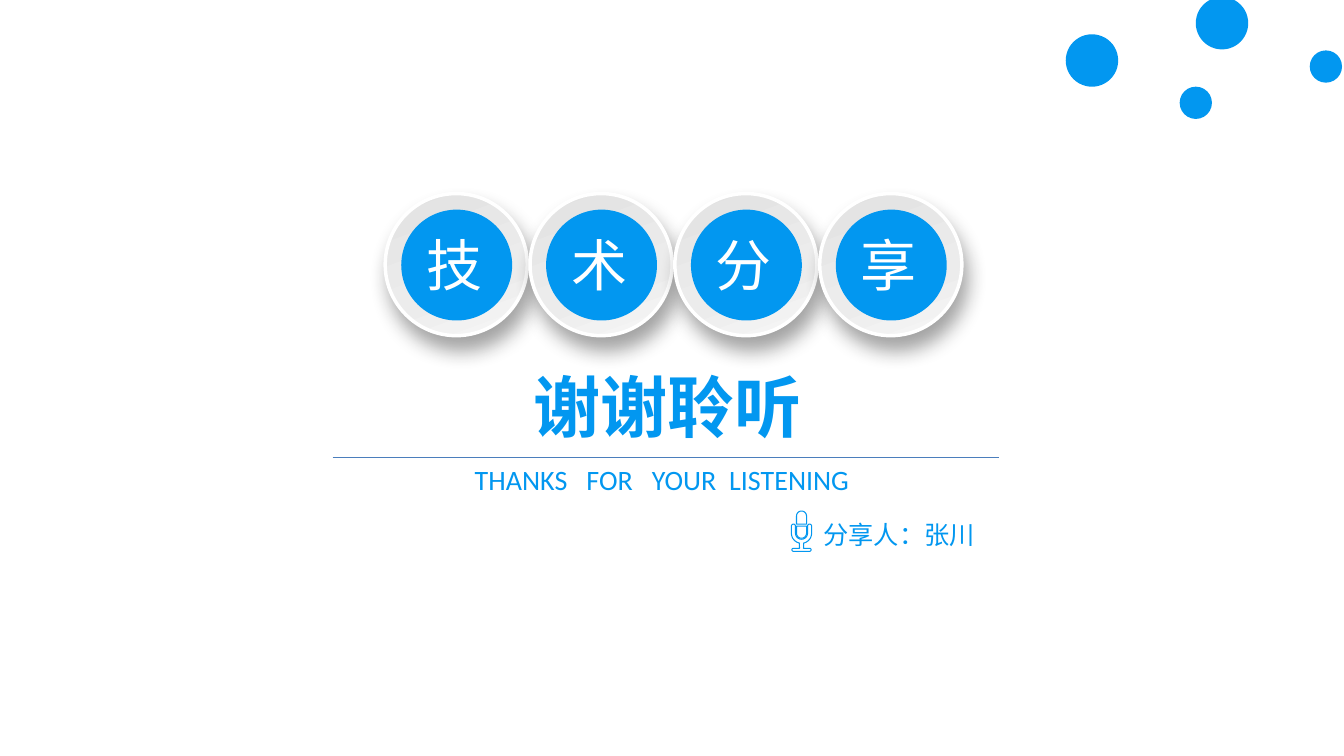
from dataclasses import dataclass
from math import cos, radians, sin

from lxml.etree import SubElement
from pptx import Presentation
from pptx.dml.color import RGBColor
from pptx.enum.shapes import MSO_CONNECTOR, MSO_SHAPE
from pptx.enum.text import MSO_AUTO_SIZE
from pptx.oxml import parse_xml
from pptx.oxml.ns import nsdecls, qn
from pptx.util import Inches, Pt


@dataclass(frozen=True)
class Theme:
    blue: str = "0297F0"
    white: str = "FFFFFF"
    rule: str = "4B7EBC"
    shadow: str = "1A1A1A"
    ring_stops: tuple = ((0, "E2E2E2"), (63, "ECECEC"), (100, "F7F7F7"))
    chinese: str = "Noto Sans CJK SC"
    english: str = "Calibri"
    title_size: int = 48
    badge_size: int = 40
    subtitle_size: int = 20
    speaker_size: int = 18
    thin: float = 0.75
    ring_line: float = 2.5


THEME = Theme()

BADGE_TEXT = "技术分享"
BADGE_LEFT, BADGE_TOP, BADGE_STEP = 3.82, 1.92, 4.31 / 3

# Subtitle words, each with the extra points of space after it
SUBTITLE = (("THANKS", 9), ("FOR", 9), ("YOUR", 4.5), ("LISTENING", 0))

# Corner dots: left, top, diameter
DOTS = (
    (10.57, 0.34, 0.52),
    (11.7, 0.86, 0.32),
    (11.86, -0.03, 0.52),
    (12.99, 0.5, 0.32),
)


def rgb(color):
    return RGBColor.from_string(color)


def add_solid(shapes, kind, left, top, size, color):
    shape = shapes.add_shape(
        kind, Inches(left), Inches(top), Inches(size), Inches(size)
    )
    shape.shadow.inherit = False
    shape.fill.solid()
    shape.fill.fore_color.rgb = rgb(color)
    shape.line.fill.background()
    return shape


def add_text_box(shapes, left, top, width, height):
    box = shapes.add_textbox(
        Inches(left), Inches(top), Inches(width), Inches(height)
    )
    box.text_frame.word_wrap = True
    box.text_frame.auto_size = MSO_AUTO_SIZE.SHAPE_TO_FIT_TEXT
    return box.text_frame.paragraphs[0]


def add_run(paragraph, text, size, color, font, bold=False, spacing=0):
    run = paragraph.add_run()
    run.text = text
    run.font.size = Pt(size)
    run.font.bold = bold
    run.font.color.rgb = rgb(color)
    run.font.name = font
    properties = run._r.get_or_add_rPr()
    SubElement(properties, qn("a:ea")).set("typeface", font)
    if spacing:
        properties.set("spc", str(int(spacing * 100)))


def style_ring(ring):
    """Give a ring its white edge, grey gradient and soft shadow."""
    ring.line.color.rgb = rgb(THEME.white)
    ring.line.width = Pt(THEME.ring_line)
    stops = "".join(
        f'<a:gs pos="{position * 1000}"><a:srgbClr val="{color}"/></a:gs>'
        for position, color in THEME.ring_stops
    )
    properties = ring._element.spPr
    gradient = parse_xml(
        f'<a:gradFill {nsdecls("a")} rotWithShape="1"><a:gsLst>{stops}</a:gsLst>'
        f'<a:lin ang="{70 * 60000}" scaled="0"/></a:gradFill>'
    )
    properties.replace(properties.find(qn("a:solidFill")), gradient)
    shadow = parse_xml(
        f'<a:outerShdw {nsdecls("a")} blurRad="{Pt(14)}" dist="{Pt(10)}" '
        f'dir="{70 * 60000}" algn="ctr" rotWithShape="0">'
        f'<a:srgbClr val="{THEME.shadow}"><a:alpha val="40000"/></a:srgbClr>'
        "</a:outerShdw>"
    )
    properties.find(qn("a:effectLst")).append(shadow)


def add_badge(slide, left, top, character):
    shapes = slide.shapes.add_group_shape().shapes
    style_ring(add_solid(shapes, MSO_SHAPE.OVAL, left, top, 1.41, THEME.white))
    add_solid(shapes, MSO_SHAPE.OVAL, left + 0.16, top + 0.16, 1.1, THEME.blue)
    paragraph = add_text_box(shapes, left + 0.31, top + 0.32, 0.73, 0.77)
    add_run(paragraph, character, THEME.badge_size, THEME.white, THEME.chinese)


def add_rule(slide, left, right, top):
    rule = slide.shapes.add_connector(
        MSO_CONNECTOR.STRAIGHT,
        Inches(left), Inches(top), Inches(right), Inches(top),
    )
    rule.line.color.rgb = rgb(THEME.rule)
    rule.line.width = Pt(THEME.thin)
    SubElement(rule._element.spPr, qn("a:effectLst"))


def add_dot(slide, left, top, size):
    shapes = slide.shapes.add_group_shape().shapes
    rim = add_solid(shapes, MSO_SHAPE.DONUT, left, top, size, THEME.blue)
    rim.adjustments[0] = 0.05
    add_solid(
        shapes, MSO_SHAPE.OVAL, left + 0.01, top + 0.01, size - 0.02, THEME.blue
    )


def arc(x, y, radius, start, end, steps=12):
    """Points of an arc; angles run clockwise from the right."""
    angles = [radians(start + (end - start) * i / steps) for i in range(steps + 1)]
    return [(x + radius * cos(a), y + radius * sin(a)) for a in angles]


def add_microphone(slide, x, top):
    bowl = top + 0.22
    tip = top + 0.15
    base = top + 0.37
    base_radius = 0.03 / 2
    cup = [(x - 0.05, tip), (x + 0.05, tip), *arc(x, bowl, 0.05, 0, 180)]
    stand = [
        *arc(x - 0.08, tip, 0.02, 180, 360),
        *arc(x, bowl, 0.06, 180, 0),
        *arc(x + 0.08, tip, 0.02, 180, 360),
        *arc(x, bowl, 0.1, 0, 78),
        (x + 0.02, base),
        *arc(x + 0.08, base + base_radius, base_radius, -90, 90),
        *arc(x - 0.08, base + base_radius, base_radius, 90, 270),
        (x - 0.02, base),
        *arc(x, bowl, 0.1, 102, 180),
    ]
    head = [*arc(x, top + 0.05, 0.05, 180, 360), (x + 0.05, top + 0.13),
            (x - 0.05, top + 0.13)]

    outlines = [
        [(Inches(px), Inches(py)) for px, py in part] for part in (cup, stand, head)
    ]
    builder = slide.shapes.build_freeform(*outlines[0][0])
    for index, points in enumerate(outlines):
        if index:
            builder.move_to(*points[0])
        builder.add_line_segments(points[1:], close=True)
    microphone = builder.convert_to_shape()
    microphone.shadow.inherit = False
    microphone.fill.solid()
    microphone.fill.fore_color.rgb = rgb(THEME.white)
    microphone.line.color.rgb = rgb(THEME.blue)
    microphone.line.width = Pt(THEME.thin)


def add_subtitle(slide):
    paragraph = add_text_box(slide.shapes, 3.98, 4.54, 5.19, 0.44)
    paragraph._p.get_or_add_pPr().set("marL", str(Inches(0.63)))
    style = (THEME.subtitle_size, THEME.blue, THEME.english)
    for index, (word, gap) in enumerate(SUBTITLE):
        add_run(paragraph, word, *style)
        if index < len(SUBTITLE) - 1:
            add_run(paragraph, " ", *style, spacing=gap)


def main():
    presentation = Presentation()
    presentation.slide_width = Inches(13.33)
    presentation.slide_height = Inches(7.5)
    slide = presentation.slides.add_slide(presentation.slide_layouts[6])
    slide.background.fill.solid()
    slide.background.fill.fore_color.rgb = rgb(THEME.white)

    # Title and badges
    title = add_text_box(slide.shapes, 5.19, 3.57, 2.95, 0.91)
    add_run(title, "谢谢聆听", THEME.title_size, THEME.blue, THEME.chinese, bold=True)
    for index, character in enumerate(BADGE_TEXT):
        add_badge(slide, BADGE_LEFT + index * BADGE_STEP, BADGE_TOP, character)

    # Subtitle and speaker
    add_rule(slide, 3.3, 9.91, 4.54)
    add_subtitle(slide)
    speaker = add_text_box(slide.shapes, 8.07, 5.1, 2.04, 0.4)
    add_run(speaker, "分享人：张川", THEME.speaker_size, THEME.blue, THEME.chinese)
    add_microphone(slide, 7.95, 5.07)

    # Corner dots
    for left, top, size in DOTS:
        add_dot(slide, left, top, size)

    presentation.save("out.pptx")


if __name__ == "__main__":
    main()
